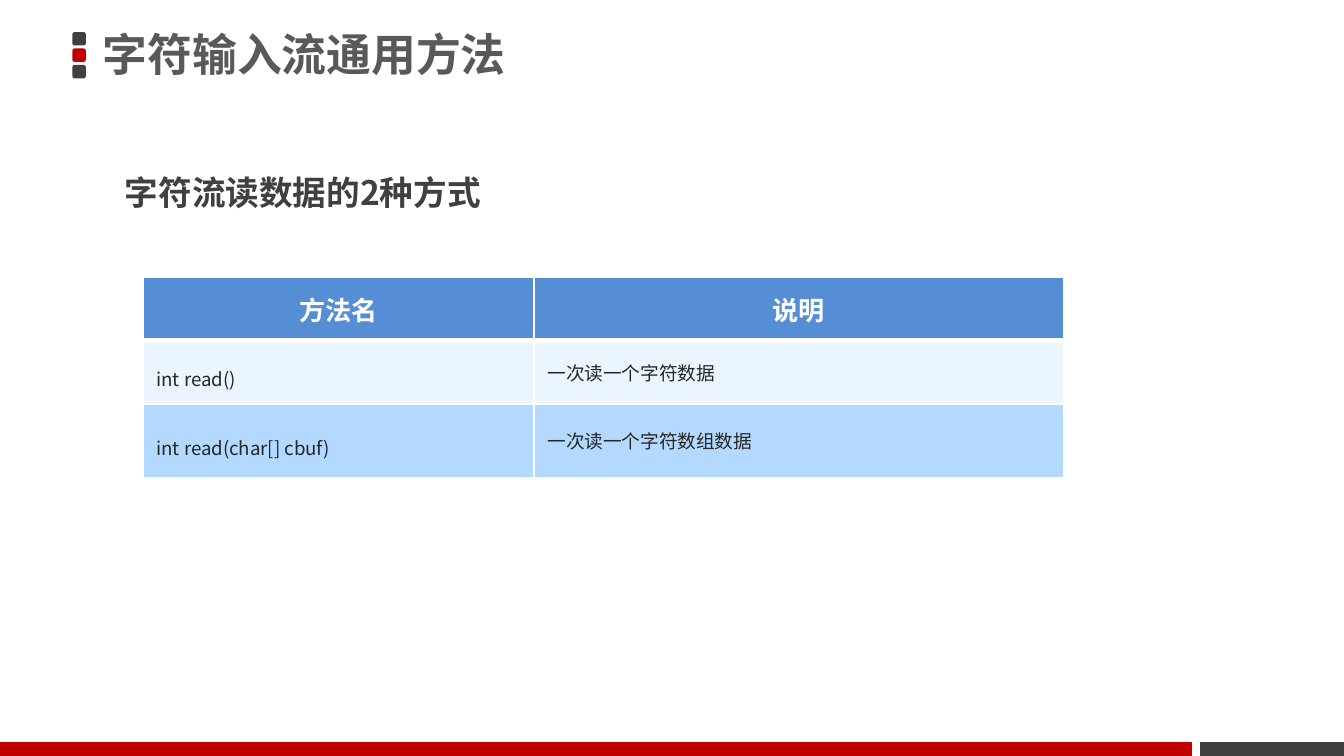
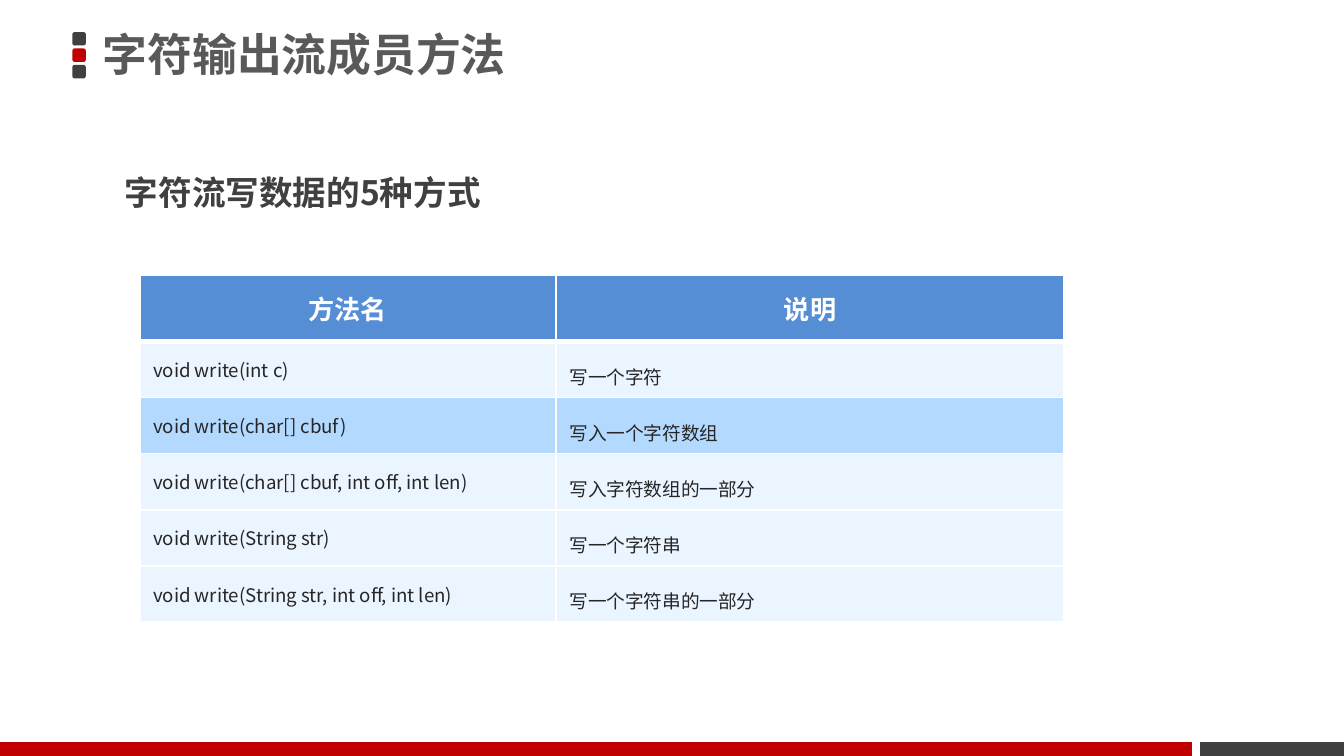
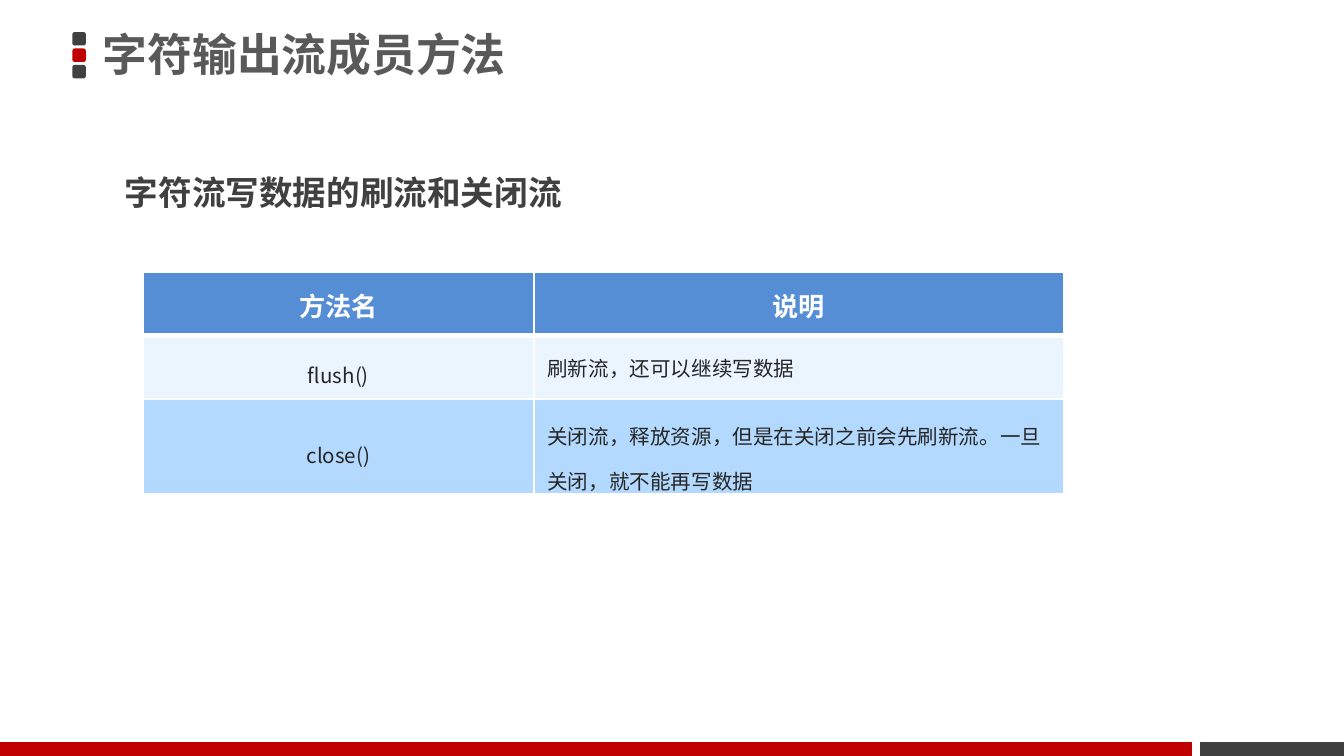
import itertools

import pptx
import pptx.dml.color
import pptx.enum.shapes
import pptx.enum.text
import pptx.oxml.ns
import pptx.util
from lxml import etree

Pt = pptx.util.Pt
RGB = pptx.dml.color.RGBColor
SHAPE = pptx.enum.shapes.MSO_SHAPE
ALIGN = pptx.enum.text.PP_ALIGN
ANCHOR = pptx.enum.text.MSO_ANCHOR
qn = pptx.oxml.ns.qn

FONT = "Noto Sans CJK SC"
DARK = RGB(0x40, 0x40, 0x40)
RED = RGB(0xC0, 0x00, 0x00)
TITLE_GRAY = RGB(0x59, 0x59, 0x59)
BODY_GRAY = RGB(0x26, 0x26, 0x26)
WHITE = RGB(0xFF, 0xFF, 0xFF)
HEADER_BLUE = RGB(0x55, 0x8E, 0xD5)
PALE_BLUE = RGB(0xEB, 0xF5, 0xFF)
LIGHT_BLUE = RGB(0xB3, 0xD9, 0xFF)

SLIDE_W, SLIDE_H = 720, 405
HEADERS = ("方法名", "说明")

SLIDES = [
    dict(
        title="字符输入流通用方法",
        subtitle="字符流读数据的2种方式",
        origin=(76.6, 148.3), columns=(209.5, 283.7), heights=(34, 34, 39.6),
        rows=[
            ("int read()", "一次读一个字符数据"),
            ("int read(char[] cbuf)", "一次读一个字符数组数据"),
        ],
        spacings=[(1.5, 1)],
    ),
    dict(
        title="字符输出流成员方法",
        subtitle="字符流写数据的5种方式",
        origin=(74.9, 147.6), columns=(223, 272.2), heights=(35.3,) + (30.1,) * 5,
        rows=[
            ("void write(int c)", "写一个字符"),
            ("void write(char[] cbuf)", "写入一个字符数组"),
            ("void write(char[] cbuf, int off, int len)", "写入字符数组的一部分"),
            ("void write(String str)", "写一个字符串"),
            ("void write(String str, int off, int len)", "写一个字符串的一部分"),
        ],
        spacings=[(1, 1.5)],
    ),
    dict(
        title="字符输出流成员方法",
        subtitle="字符流写数据的刷流和关闭流",
        origin=(76.6, 145.8), columns=(209.5, 283.7), heights=(34, 34, 51),
        rows=[
            ("flush()", "刷新流，还可以继续写数据"),
            ("close()", "关闭流，释放资源，但是在关闭之前会先刷新流。一旦关闭，就不能再写数据"),
        ],
        spacings=[(1.5, 1), (1.5, 1.5)],
        size=11, name_align=ALIGN.CENTER,
    ),
]


def write_text(tf, text, size, color, bold=False, align=None, spacing=1):
    tf.word_wrap = True
    p = tf.paragraphs[0]
    p.alignment = align
    p.line_spacing = spacing
    r = p.add_run()
    r.text = text
    r.font.size = Pt(size)
    r.font.bold = bold
    r.font.color.rgb = color
    r.font.name = FONT
    etree.SubElement(r.font._element, qn("a:ea"), typeface=FONT)


def add_block(shapes, kind, left, top, width, height, color):
    sp = shapes.add_shape(kind, Pt(left), Pt(top), Pt(width), Pt(height))
    sp.shadow.inherit = False
    sp.fill.solid()
    sp.fill.fore_color.rgb = color
    sp.line.fill.background()


def add_title_mark(slide, left, top, side=7.2, pitch=8.8):
    group = slide.shapes.add_group_shape()
    for i, color in enumerate((DARK, RED, DARK)):
        add_block(group.shapes, SHAPE.ROUNDED_RECTANGLE,
                  left, top + i * pitch, side, side, color)


def add_footer(slide, height=7.4, red_w=638.6, gap=4.4):
    top = SLIDE_H - height
    dark_left = red_w + gap
    add_block(slide.shapes, SHAPE.RECTANGLE,
              dark_left, top, SLIDE_W - dark_left, height, DARK)
    add_block(slide.shapes, SHAPE.RECTANGLE, 0, top, red_w, height, RED)


def add_title(slide, text, left, top, width, height):
    tf = slide.shapes.add_textbox(Pt(left), Pt(top), Pt(width), Pt(height)).text_frame
    tf.vertical_anchor = ANCHOR.MIDDLE
    tf.margin_left = tf.margin_right = Pt(5)
    tf.margin_top = tf.margin_bottom = Pt(2.7)
    write_text(tf, text, 24, TITLE_GRAY, bold=True, spacing=0.9)


def add_subtitle(slide, text, left, top, width, height):
    tf = slide.shapes.add_textbox(Pt(left), Pt(top), Pt(width), Pt(height)).text_frame
    tf.auto_size = pptx.enum.text.MSO_AUTO_SIZE.SHAPE_TO_FIT_TEXT
    write_text(tf, text, 18, DARK, bold=True, spacing=1.5)


def format_cell(cell, fill, top=1, bottom=1):
    """Fill the cell and rule it in white; top and bottom are line widths."""
    cell.fill.solid()
    cell.fill.fore_color.rgb = fill
    tcPr = cell._tc.get_or_add_tcPr()
    borders = (("a:lnL", 1), ("a:lnR", 1), ("a:lnT", top), ("a:lnB", bottom))
    for i, (tag, width) in enumerate(borders):
        ln = etree.Element(qn(tag), w=str(int(Pt(width))))
        solid = etree.SubElement(ln, qn("a:solidFill"))
        etree.SubElement(solid, qn("a:srgbClr"), val=str(WHITE))
        tcPr.insert(i, ln)


def add_method_table(slide, origin, columns, heights, rows, spacings,
                     size=10, name_align=None):
    """Spacings hold the line spacing of each body row's cells and repeat."""
    left, top = origin
    table = slide.shapes.add_table(
        len(heights), len(columns), Pt(left), Pt(top),
        Pt(sum(columns)), Pt(sum(heights))).table
    for column, width in zip(table.columns, columns):
        column.width = Pt(width)
    for row, height in zip(table.rows, heights):
        row.height = Pt(height)

    for cell, text in zip(table.rows[0].cells, HEADERS):
        format_cell(cell, HEADER_BLUE, bottom=3)
        write_text(cell.text_frame, text, 14, WHITE, bold=True,
                   align=ALIGN.CENTER, spacing=Pt(24))

    for i, (texts, pair) in enumerate(zip(rows, itertools.cycle(spacings)), 1):
        fill = LIGHT_BLUE if i == 2 else PALE_BLUE
        for cell, text, spacing, align in zip(
                table.rows[i].cells, texts, pair, (name_align, None)):
            format_cell(cell, fill, top=3 if i == 1 else 1)
            cell.vertical_anchor = ANCHOR.MIDDLE
            write_text(cell.text_frame, text, size, BODY_GRAY,
                       align=align, spacing=spacing)


def add_method_slide(prs, title, subtitle, **table):
    slide = prs.slides.add_slide(prs.slide_layouts[6])
    add_title_mark(slide, 38.8, 17.2)
    add_footer(slide)
    add_title(slide, title, 50, -1.4, 424, 64)
    add_method_table(slide, **table)
    add_subtitle(slide, subtitle, 59.8, 77.8, 276.5, 36)


def main():
    prs = pptx.Presentation()
    prs.slide_width, prs.slide_height = Pt(SLIDE_W), Pt(SLIDE_H)
    for content in SLIDES:
        add_method_slide(prs, **content)
    prs.save("out.pptx")


if __name__ == "__main__":
    main()
